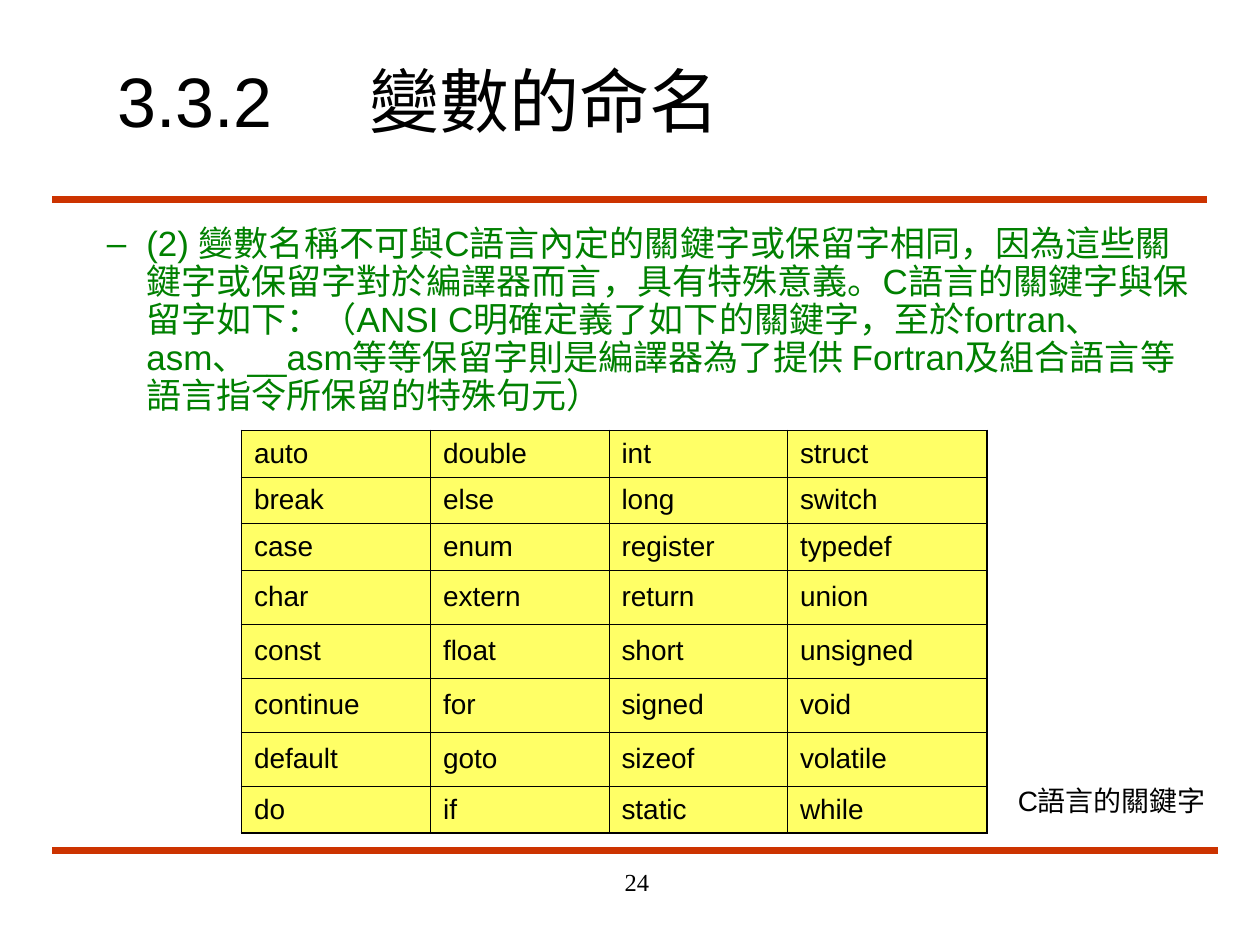
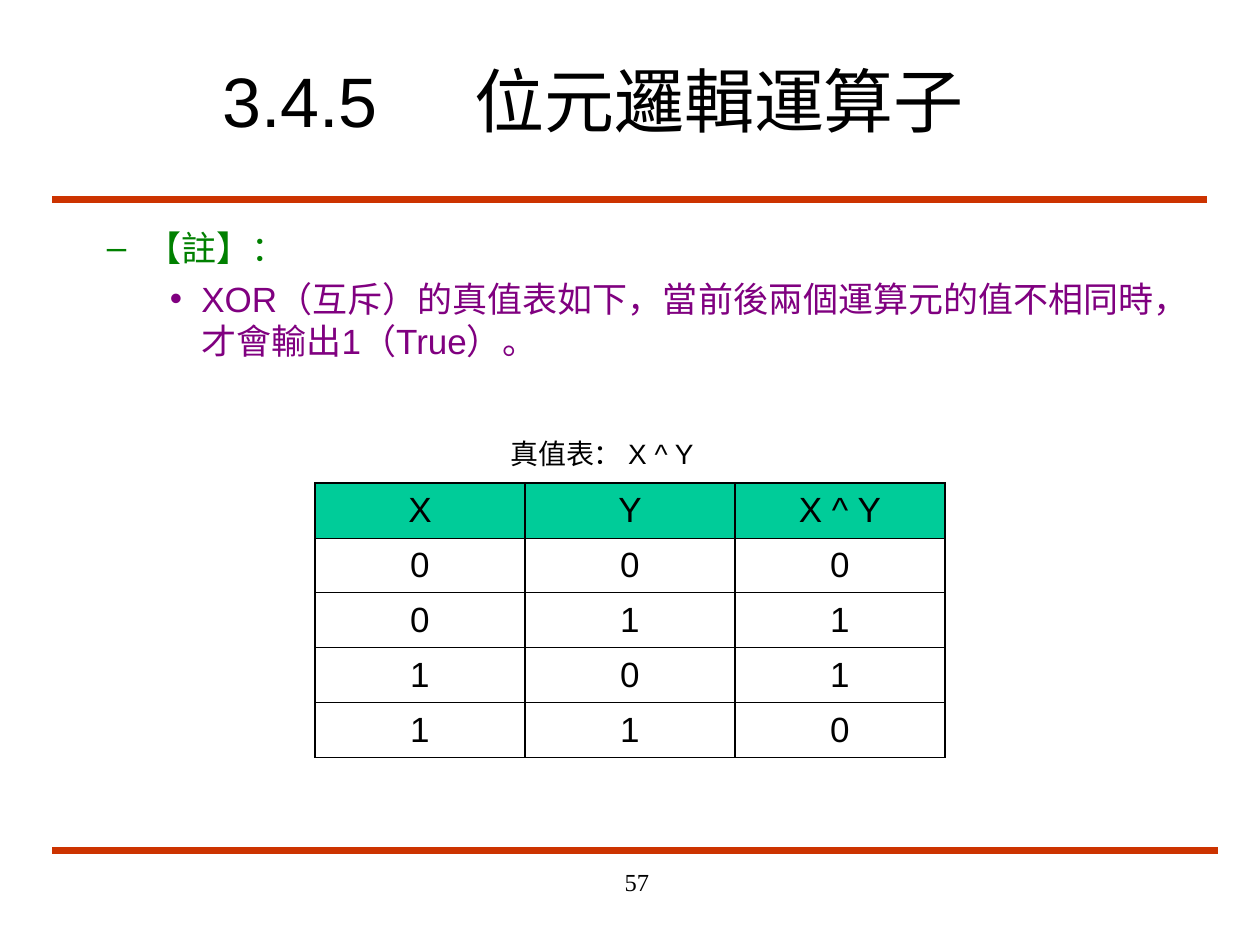
from lxml.etree import SubElement
from pptx import Presentation
from pptx.dml.color import RGBColor
from pptx.enum.shapes import MSO_CONNECTOR as CONNECTOR
from pptx.enum.text import MSO_ANCHOR as ANCHOR, PP_ALIGN as ALIGN
from pptx.oxml.ns import qn
from pptx.util import Pt

BLACK, RED, GREEN, PURPLE = "000000", "CC3300", "008000", "800080"
YELLOW, TEAL = "FFFF66", "00CC99"
THIN, THICK = 0.45, 1.08
RULES = [(30, 690, 114), (30, 696, 486)]

DASH = dict(size=20, color=GREEN, bullet="–", margin=58.5, hang=22.5)
DOT = dict(size=20, color=PURPLE, bullet="•", margin=90, hang=18)

KEYWORDS = [
    ["auto", "double", "int", "struct"],
    ["break", "else", "long", "switch"],
    ["case", "enum", "register", "typedef"],
    ["char", "extern", "return", "union"],
    ["const", "float", "short", "unsigned"],
    ["continue", "for", "signed", "void"],
    ["default", "goto", "sizeof", "volatile"],
    ["do", "if", "static", "while"],
]
TRUTH = [["X", "Y", "X ^ Y"]] + [[str(x), str(y), str(x ^ y)] for x in (0, 1) for y in (0, 1)]

SLIDES = [
    dict(
        title="3.3.2\t變數的命名", title_left=60, number="24", body_width=672,
        body=[(
            "(2) 變數名稱不可與C語言內定的關鍵字或保留字相同，因為這些關鍵字或保留字對於編譯器而言，"
            "具有特殊意義。C語言的關鍵字與保留字如下：（ANSI C明確定義了如下的關鍵字，至於"
            "fortran、asm、__asm等等保留字則是編譯器為了提供 Fortran及組合語言等語言指令所保留的特殊句元）",
            dict(DASH, spacing=0.9))],
        table=dict(rows=KEYWORDS, left=138, top=246, widths=[108, 102, 102, 114],
                   heights=[26.6] * 3 + [30.9] * 4 + [26.6],
                   fills=[YELLOW] * 8, column_line=THIN, size=16),
        caption=("C語言的關鍵字", 574.5, 444, 125.5),
    ),
    dict(
        title="3.4.5\t位元邏輯運算子", title_left=120, number="57", body_width=684,
        body=[("【註】：", DASH),
              ("XOR（互斥）的真值表如下，當前後兩個運算元的值不相同時，才會輸出1（True）。",
               dict(DOT, before=5))],
        table=dict(rows=TRUTH, left=180, top=276, widths=[120] * 3, heights=[31.4] * 5,
                   fills=[TEAL] + [None] * 4, column_line=THICK, size=20, align=ALIGN.CENTER),
        caption=("真值表： X ^ Y", 284.5, 246, 127.5),
    ),
]


def rgb(color):
    return RGBColor.from_string(color)


def add_text(tf, text, size=16, color=BLACK, font="Arial", align=ALIGN.LEFT, spacing=None,
             before=None, bullet=None, margin=0, hang=0, tab=None):
    p = tf.paragraphs[0] if not tf.text else tf.add_paragraph()
    p.alignment = align
    if spacing:
        p.line_spacing = spacing
    if before:
        p.space_before = Pt(before)
    pPr = p._p.get_or_add_pPr()
    if bullet:
        pPr.set("marL", str(Pt(margin)))
        pPr.set("indent", str(-Pt(hang)))
        SubElement(SubElement(pPr, qn("a:buClr")), qn("a:srgbClr"), val=color)
        SubElement(pPr, qn("a:buFont"), typeface=font)
        SubElement(pPr, qn("a:buChar"), char=bullet)
    if tab:
        SubElement(SubElement(pPr, qn("a:tabLst")), qn("a:tab"), pos=str(Pt(tab)), algn="l")
    # Tabs in run text are kept by adding the text to the run.
    r = p.add_run()
    r.text = text
    r.font.size, r.font.name, r.font.color.rgb = Pt(size), font, rgb(color)


def add_box(s, left, top, width, height, wrap=True, anchor=ANCHOR.TOP):
    tf = s.shapes.add_textbox(Pt(left), Pt(top), Pt(width), Pt(height)).text_frame
    tf.word_wrap, tf.vertical_anchor = wrap, anchor
    return tf


def add_rule(s, left, right, y):
    line = s.shapes.add_connector(CONNECTOR.STRAIGHT, Pt(left), Pt(y), Pt(right), Pt(y))
    line.line.color.rgb, line.line.width = rgb(RED), Pt(4.5)
    SubElement(line._element.spPr, qn("a:effectLst"))


def set_borders(cell, **widths):
    tcPr = cell._tc.get_or_add_tcPr()
    for i, (side, width) in enumerate(widths.items()):
        ln = SubElement(tcPr, qn(f"a:ln{side}"), w=str(Pt(width)))
        SubElement(SubElement(ln, qn("a:solidFill")), qn("a:srgbClr"), val=BLACK)
        tcPr.insert(i, ln)


def add_grid(s, rows, left, top, widths, heights, fills, column_line, **fmt):
    last_row, last_col = len(rows) - 1, len(widths) - 1
    table = s.shapes.add_table(len(rows), len(widths), Pt(left), Pt(top),
                               Pt(sum(widths)), Pt(sum(heights))).table
    table.first_row = table.horz_banding = False
    for column, width in zip(table.columns, widths):
        column.width = Pt(width)
    for i, (row, height, fill) in enumerate(zip(rows, heights, fills)):
        table.rows[i].height = Pt(height)
        for j, text in enumerate(row):
            cell = table.cell(i, j)
            cell.vertical_anchor = ANCHOR.MIDDLE
            add_text(cell.text_frame, text, **fmt)
            if fill:
                cell.fill.solid()
                cell.fill.fore_color.rgb = rgb(fill)
            else:
                cell.fill.background()
            set_borders(cell,
                        L=THICK if j == 0 else column_line,
                        R=THICK if j == last_col else column_line,
                        T=THICK if i == 0 else THIN,
                        B=THICK if i == last_row else THIN)


def add_slide(prs, title, title_left, number, body_width, body, table, caption):
    s = prs.slides.add_slide(prs.slide_layouts[6])
    for rule in RULES:
        add_rule(s, *rule)
    add_text(add_box(s, title_left, 24, 666 - title_left, 66, anchor=ANCHOR.MIDDLE),
             title, size=40, tab=144)
    tf = add_box(s, 18, 126, body_width, 126)
    for text, fmt in body:
        add_text(tf, text, **fmt)
    add_grid(s, **table)
    text, left, top, width = caption
    add_text(add_box(s, left, top, width, 26.5, wrap=False), text)
    add_text(add_box(s, 228, 492, 150, 36), number, size=14,
             font="Times New Roman", align=ALIGN.RIGHT)


def main():
    prs = Presentation()
    prs.slide_width, prs.slide_height = Pt(720), Pt(540)
    for content in SLIDES:
        add_slide(prs, **content)
    prs.save("out.pptx")


if __name__ == "__main__":
    main()
